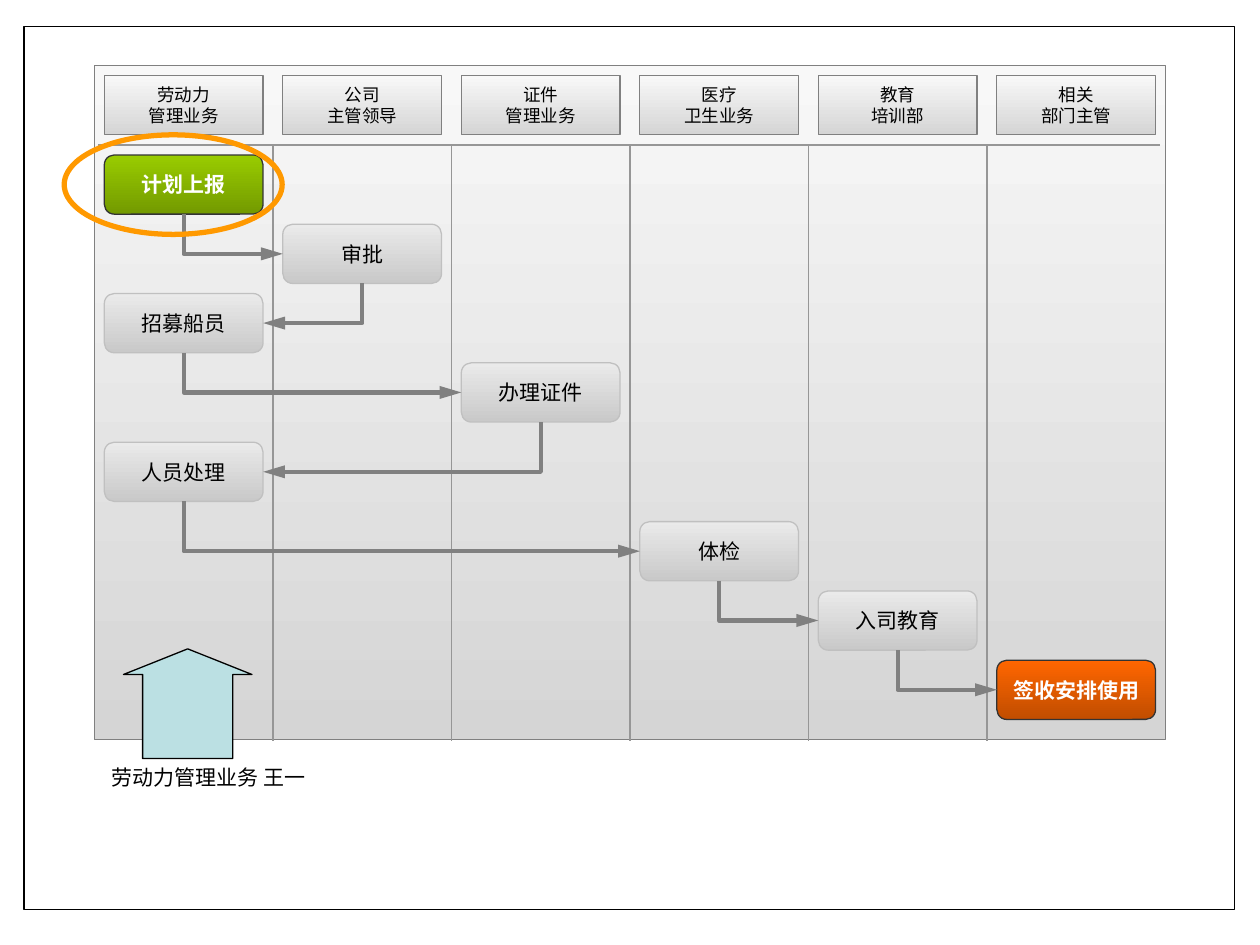
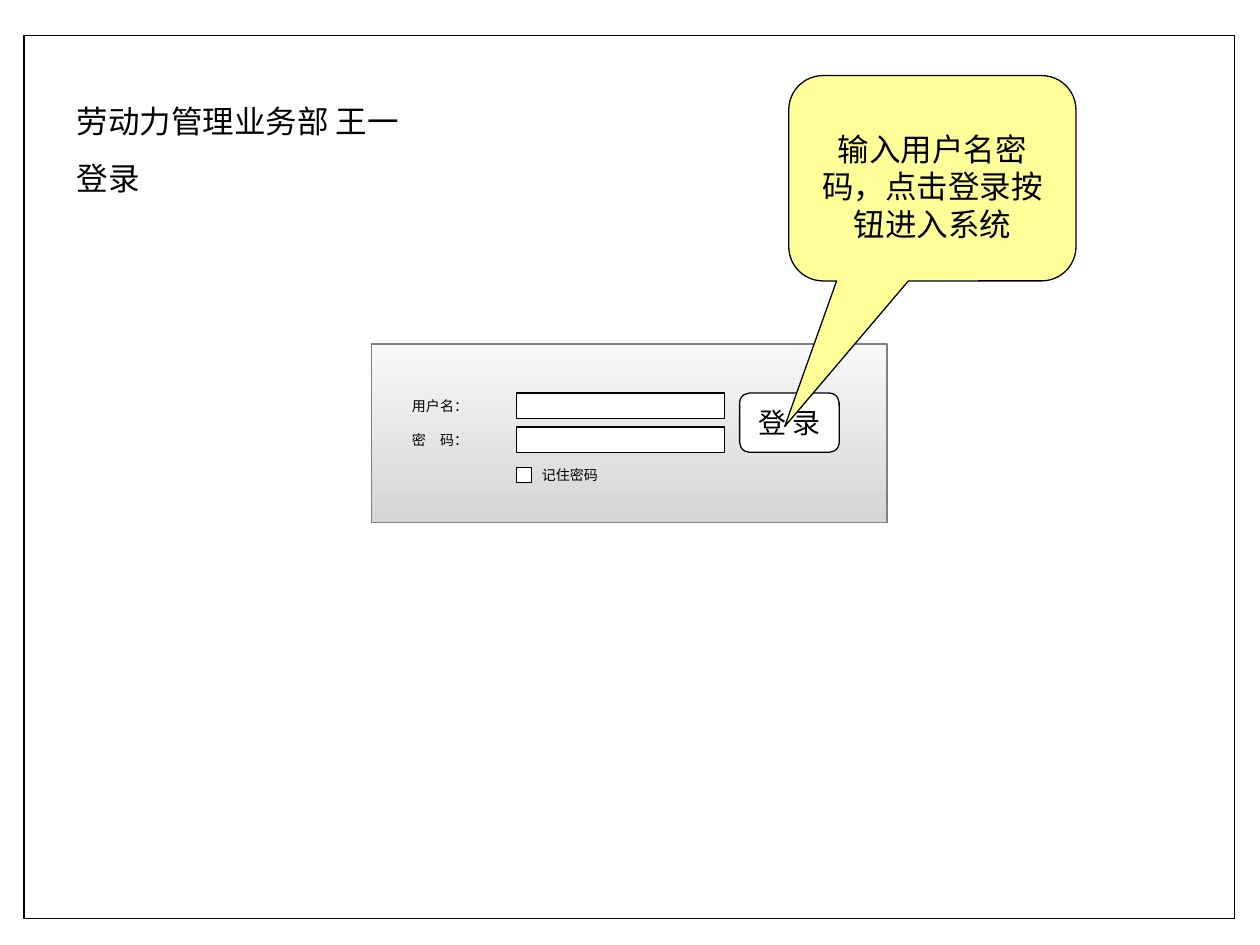
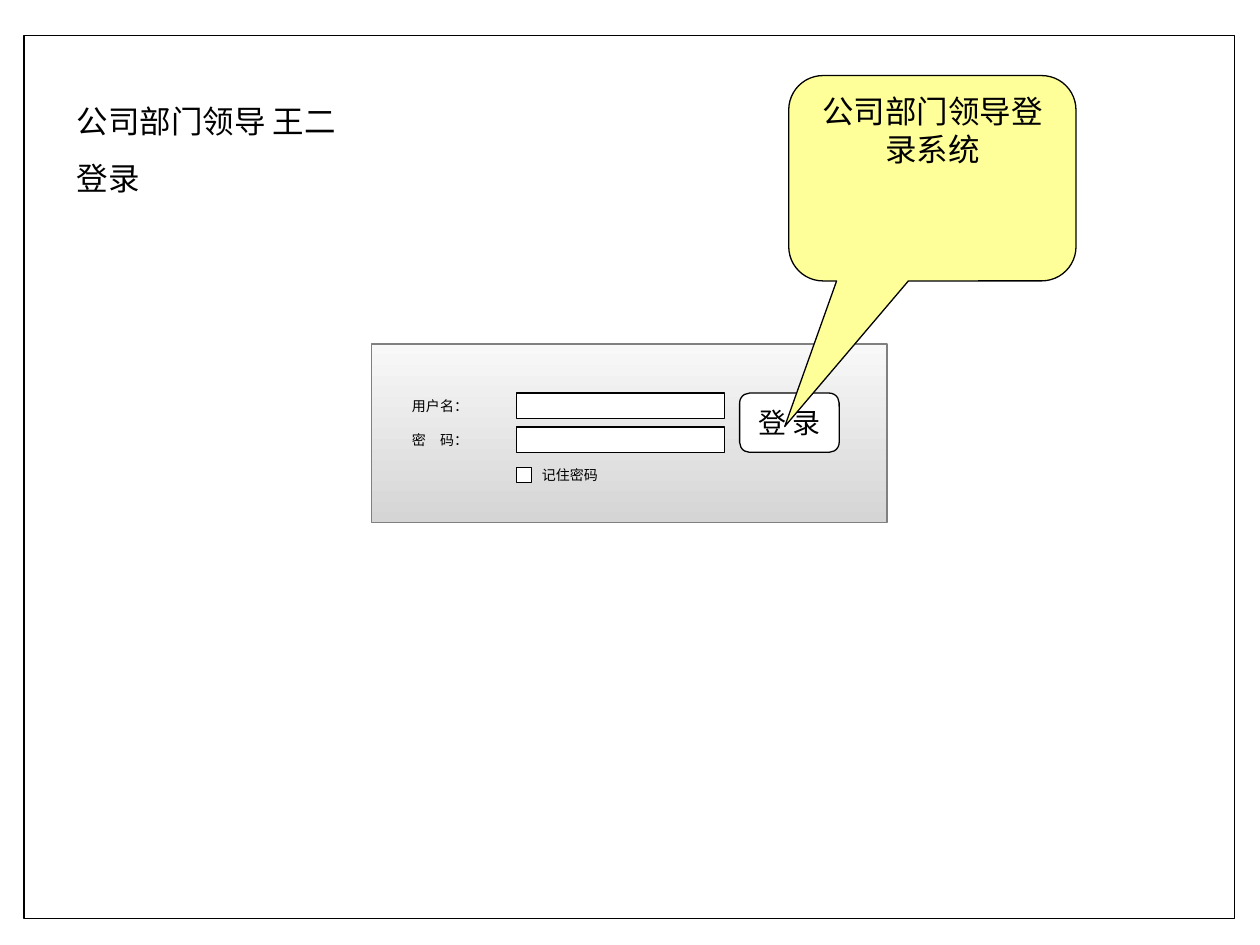
from lxml.etree import SubElement
from pptx import Presentation
from pptx.dml.color import RGBColor
from pptx.enum.shapes import MSO_CONNECTOR, MSO_SHAPE
from pptx.enum.text import MSO_ANCHOR, MSO_AUTO_SIZE, PP_ALIGN
from pptx.oxml.ns import qn
from pptx.util import Inches, Pt

# Shared look
rgb = RGBColor.from_string
CJK = "Noto Sans CJK SC"
BLACK, WHITE, GRAY, RULE = "000000", "FFFFFF", "808080", "969696"
PANEL = ("F8F8F8", "D5D5D5")
FRAME_X, FRAME_W, FRAME_H = 0.19, 9.61, 7.01
FLUSH = dict.fromkeys(
    ("margin_left", "margin_top", "margin_right", "margin_bottom"), 0)


def write(sp, text, size, color=BLACK, bold=False, font="Arial",
          align=PP_ALIGN.CENTER, gap=0, **frame):
    """Fill a text frame; each line of text is a paragraph."""
    tf = sp.text_frame
    settings = {"word_wrap": True, "vertical_anchor": MSO_ANCHOR.MIDDLE,
                "auto_size": MSO_AUTO_SIZE.NONE, **frame}
    for name, value in settings.items():
        setattr(tf, name, value)
    tf.text = text
    for i, p in enumerate(tf.paragraphs):
        p.alignment = align
        p.space_before = Pt(gap if i else 0)
        p._p.get_or_add_pPr().set("hangingPunct", "0")
        r = p.runs[0]
        for name, value in {"size": Pt(size), "bold": bold, "name": font}.items():
            setattr(r.font, name, value)
        r.font.color.rgb = rgb(color)
        SubElement(r._r.get_or_add_rPr(), qn("a:ea"), typeface=CJK)


def draw(s, kind, at, fill=WHITE, line=BLACK, width=0.75, adj=()):
    """Add a shape; fill is a colour, a top-bottom colour pair or None."""
    sp = s.shapes.add_shape(kind, *map(Inches, at))
    sp.shadow.inherit = False
    if fill is None:
        sp.fill.background()
    elif isinstance(fill, tuple):
        sp.fill.gradient()
        sp.fill.gradient_angle = 270
        for stop, color in zip(sp.fill.gradient_stops, fill):
            stop.color.rgb = rgb(color)
    else:
        sp.fill.solid()
        sp.fill.fore_color.rgb = rgb(fill)
    sp.line.color.rgb = rgb(line)
    sp.line.width = Pt(width)
    for i, value in enumerate(adj):
        sp.adjustments[i] = value
    return sp


prs = Presentation()
prs.slide_width, prs.slide_height = Inches(10), Inches(7.5)
TITLE_ONLY, BLANK = prs.slide_layouts[5], prs.slide_layouts[6]

# Slide 1: swimlane panel and lane headers
s = prs.slides.add_slide(BLANK)
draw(s, MSO_SHAPE.RECTANGLE, (FRAME_X, 0.21, FRAME_W, FRAME_H))
LEFT, LANE, BOX_W, BOX_H = 0.75, 8.5 / 6, 1.26, 0.47
draw(s, MSO_SHAPE.RECTANGLE, (LEFT, 0.52, 8.5, 5.35), PANEL, GRAY)
lanes = ["劳动力\n管理业务", "公司\n主管领导", "证件\n管理业务",
         "医疗\n卫生业务", "教育\n培训部", "相关\n部门主管"]
lane_x = [LEFT + (LANE - BOX_W) / 2 + i * LANE for i in range(len(lanes))]
for x, name in zip(lane_x, lanes):
    sp = draw(s, MSO_SHAPE.RECTANGLE, (x, 0.6, BOX_W, BOX_H), PANEL, GRAY)
    write(sp, name, 10, word_wrap=False)

# Lane rules
rules = [(0.78, 1.15, 9.21, 1.15)]
rules += [(LEFT + i * LANE, 1.15, LEFT + i * LANE, 5.88)
          for i in range(1, len(lanes))]
for ends in rules:
    c = s.shapes.add_connector(MSO_CONNECTOR.STRAIGHT, *map(Inches, ends))
    c.line.color.rgb = rgb(RULE)
    c.line.width = Pt(0.75)
    SubElement(c._element.spPr, qn("a:effectLst"))

# Process steps: text, lane, top, fill, line
STEP = (("EAEAEA", "C9C9C9"), "C0C0C0")
START = (("99CC00", "739A00"), "333333")
END = (("FF6600", "C14D00"), "333333")
steps = [("计划上报", 0, 1.23, START), ("审批", 1, 1.78, STEP),
         ("招募船员", 0, 2.33, STEP), ("办理证件", 2, 2.88, STEP),
         ("人员处理", 0, 3.51, STEP), ("体检", 3, 4.14, STEP),
         ("入司教育", 4, 4.69, STEP), ("签收安排使用", 5, 5.24, END)]
for text, lane, top, style in steps:
    sp = draw(s, MSO_SHAPE.ROUNDED_RECTANGLE,
              (lane_x[lane], top, BOX_W, BOX_H), *style)
    plain = style is STEP
    write(sp, text, 12, BLACK if plain else WHITE, not plain, word_wrap=False)

# Elbow arrows: down from one step, then sideways into the next
for (_, lane, top, _), (_, next_lane, next_top, _) in zip(steps, steps[1:]):
    right = next_lane > lane
    x1, y1 = lane_x[lane] + BOX_W / 2, top + BOX_H
    x2 = lane_x[next_lane] + (0 if right else BOX_W)
    y2 = next_top + BOX_H / 2
    cx, cy = (x1 + x2) / 2, (y1 + y2) / 2
    half_w = (y2 - y1) / 2 * (1 if right else -1)
    half_h = abs(x2 - x1) / 2
    c = s.shapes.add_connector(
        MSO_CONNECTOR.ELBOW,
        *map(Inches, (cx + half_w, cy - half_h, cx - half_w, cy + half_h)))
    spPr = c._element.spPr
    spPr.find(qn("a:xfrm")).set("rot", str((270 if right else 90) * 60000))
    spPr.find(qn("a:prstGeom")).set("prst", "bentConnector2")
    c.line.color.rgb = rgb(GRAY)
    c.line.width = Pt(2.5)
    SubElement(spPr.find(qn("a:ln")), qn("a:tailEnd"), type="triangle", len="lg")
    SubElement(spPr, qn("a:effectLst"))

# Current role marker
draw(s, MSO_SHAPE.UP_ARROW, (0.98, 5.15, 1.02, 0.87), "BBE0E3",
     adj=(0.702, 0.234))
tb = s.shapes.add_textbox(*map(Inches, (0.75, 6.02, 1.81, 0.3)))
write(tb, "劳动力管理业务 王一", 12, font=CJK, vertical_anchor=MSO_ANCHOR.TOP)
draw(s, MSO_SHAPE.OVAL, (0.51, 1.07, 1.73, 0.79), None, "FF9900", 3)

# Slides 2 and 3: login pages (title, title font, callout text, callout inset)
logins = [("劳动力管理业务部 王一\n登录", "Arial",
           "输入用户名密码，点击登录按钮进入系统", 0.35),
          ("公司部门领导 王二\n登录", CJK, "公司部门领导登录系统", 0.05)]
for heading, font, hint, inset in logins:
    s = prs.slides.add_slide(TITLE_ONLY)
    frame = draw(s, MSO_SHAPE.RECTANGLE, (FRAME_X, 0.28, FRAME_W, FRAME_H))
    title = s.shapes.title
    frame._element.addnext(title._element)
    title.left, title.top, title.width, title.height = map(
        Inches, (0.51, 0.76, 4.96, 0.86))
    write(title, heading, 18, font=font, align=PP_ALIGN.LEFT, gap=11.2,
          vertical_anchor=MSO_ANCHOR.TOP)

    # Login form
    draw(s, MSO_SHAPE.RECTANGLE, (2.95, 2.73, 4.09, 1.42), PANEL, GRAY)
    for field in [(4.1, 3.71, 0.12, 0.12), (4.1, 3.12, 1.65, 0.2),
                  (4.1, 3.39, 1.65, 0.2)]:
        draw(s, MSO_SHAPE.RECTANGLE, field)
    for text, x, y, w in [("记住密码", 4.3, 3.67, 0.55),
                          ("用户名：", 3.27, 3.12, 1.26),
                          ("密　码：", 3.27, 3.39, 1.26)]:
        tb = s.shapes.add_textbox(*map(Inches, (x, y, w, 0.2)))
        write(tb, text, 8, font=CJK, align=PP_ALIGN.LEFT, **FLUSH)
    sp = draw(s, MSO_SHAPE.ROUNDED_RECTANGLE, (5.87, 3.12, 0.79, 0.47))
    write(sp, "登 录", 16, font=CJK, word_wrap=False, **FLUSH)

    # Callout
    sp = draw(s, MSO_SHAPE.ROUNDED_RECTANGULAR_CALLOUT,
              (6.26, 0.6, 2.28, 1.63), "FFFF99", adj=(-0.514, 1.209, 0.167))
    write(sp, hint, 18, vertical_anchor=MSO_ANCHOR.TOP,
          margin_top=Inches(inset))

prs.save("out.pptx")
